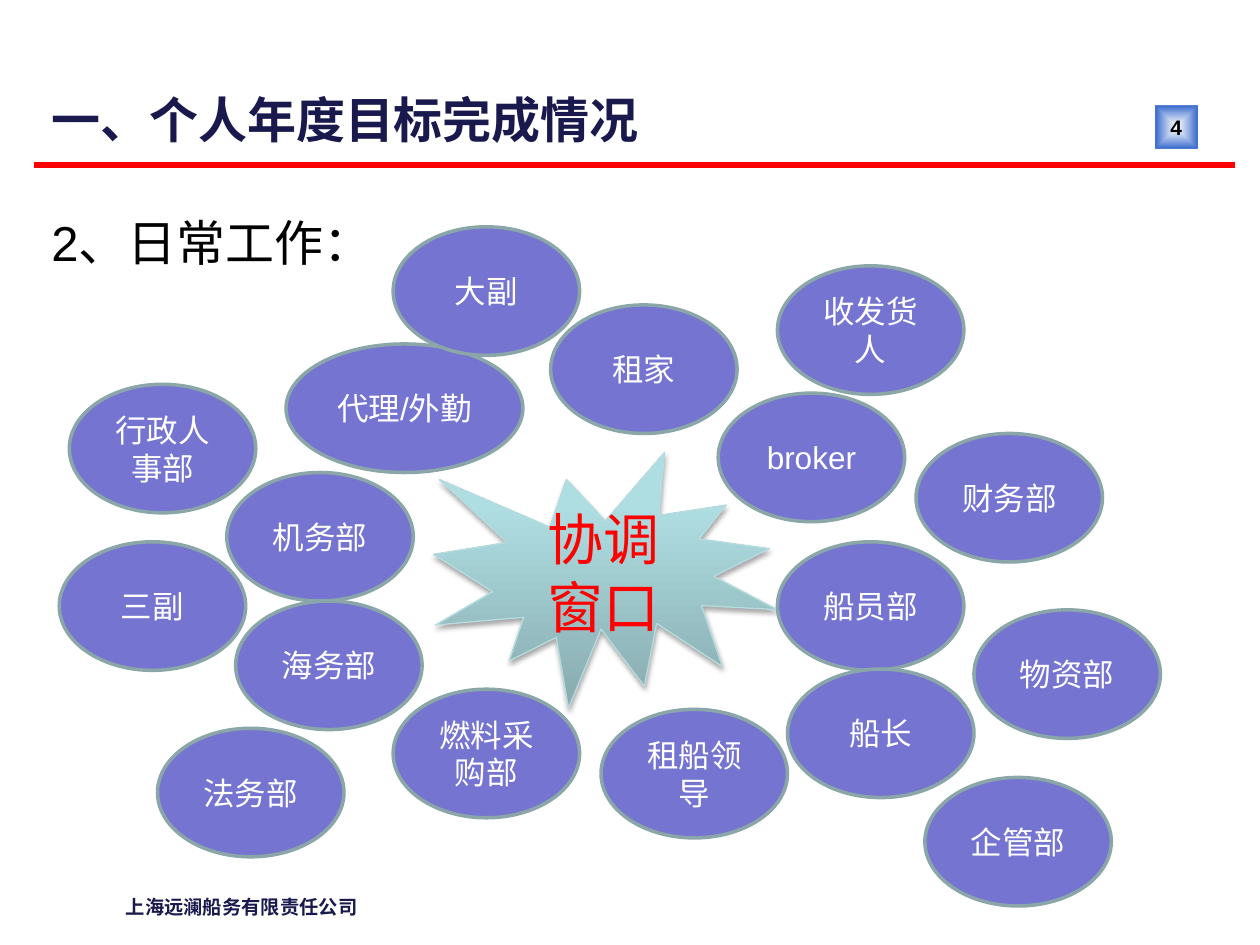
from dataclasses import dataclass

from lxml import etree
from pptx import Presentation
from pptx.dml.color import RGBColor
from pptx.enum import shapes, text
from pptx.oxml import parse_xml
from pptx.oxml.ns import nsdecls, qn
from pptx.util import Inches, Pt


@dataclass(frozen=True)
class Theme:
    """Colours, fonts and type sizes of the slide."""
    navy: str = "19194D"
    black: str = "000000"
    white: str = "FFFFFF"
    red: str = "FF0000"
    oval: str = "7575D1"
    oval_edge: str = "8AA6A8"
    burst_edge: str = "B6DCDF"
    burst_stops: tuple = ((0, "87ABAE", 100), (80, "AFDEE2", 100), (100, "AFE0E4", 100))
    badge_stops: tuple = ((0, "FFFFFF", 79), (100, "3366CC", 100))
    latin: str = "Arial"
    chinese: str = "Noto Sans CJK SC"
    heading: int = 28
    hub: int = 32
    label: int = 18
    number: int = 12
    footer: int = 11


THEME = Theme()

OVAL_SIZE = (1.48, 1.02)
WIDE_OVAL_SIZE = (1.88, 1.02)
PARTNERS = [
    ("船员部", 5.70, 2.50), ("租家", 3.90, 0.62), ("代理/外勤", 1.80, 0.93),
    ("机务部", 1.33, 1.95), ("海务部", 1.40, 2.97), ("企管部", 6.87, 4.37),
    ("行政人事部", 0.08, 1.25), ("法务部", 0.78, 3.98), ("租船领导", 4.30, 3.83),
    ("broker", 5.23, 1.32), ("收发货人", 5.70, 0.31), ("燃料采购部", 2.65, 3.67),
    ("物资部", 7.26, 3.04), ("财务部", 6.80, 1.64), ("船长", 5.78, 3.51),
    ("三副", 0, 2.50), ("大副", 2.65, 0),
]


def rgb(value):
    """Return a colour from its hex value."""
    return RGBColor.from_string(value)


def write(shape, words, size, color, font=THEME.latin, bold=False, centred=False, middle=True):
    """Set and format the text of a shape."""
    frame = shape.text_frame
    frame.text = words
    frame.word_wrap = True
    frame.vertical_anchor = text.MSO_ANCHOR.MIDDLE if middle else text.MSO_ANCHOR.TOP
    paragraph = frame.paragraphs[0]
    paragraph.alignment = text.PP_ALIGN.CENTER if centred else text.PP_ALIGN.LEFT
    for run in paragraph.runs:
        run.font.size, run.font.bold, run.font.name = Pt(size), bold, font
        run.font.color.rgb = rgb(color)
        east_asian = etree.SubElement(run.font._element, qn("a:ea"))
        east_asian.set("typeface", THEME.chinese)


def add_words(slide, box, words, size, color, **style):
    """Place a text box in the given box."""
    write(slide.shapes.add_textbox(*map(Inches, box)), words, size, color, **style)


def add_figure(slide, preset, box, edge=None, width=0):
    """Place a preset shape without shadow, with an optional edge."""
    figure = slide.shapes.add_shape(preset, *map(Inches, box))
    figure.shadow.inherit = False
    if edge:
        figure.line.color.rgb = rgb(edge)
        figure.line.width = Pt(width)
    else:
        figure.line.fill.background()
    return figure


def fill_gradient(figure, stops, direction):
    """Fill a figure with gradient stops of position, colour and opacity."""
    marks = "".join(
        f'<a:gs pos="{position * 1000}"><a:srgbClr val="{color}">'
        f'<a:alpha val="{opacity * 1000}"/></a:srgbClr></a:gs>'
        for position, color, opacity in stops)
    gradient = parse_xml(
        f'<a:gradFill {nsdecls("a")} rotWithShape="1"><a:gsLst>{marks}</a:gsLst>{direction}</a:gradFill>')
    figure._element.spPr.find(qn("a:prstGeom")).addnext(gradient)


def add_soft_shadow(figure):
    """Give a figure a soft shadow that falls straight down."""
    effects = figure._element.spPr.find(qn("a:effectLst"))
    effects.append(parse_xml(
        f'<a:outerShdw {nsdecls("a")} blurRad="{Pt(3.1)}" dist="{Pt(1.8)}" dir="5400000" rotWithShape="0">'
        f'<a:srgbClr val="{THEME.black}"><a:alpha val="35000"/></a:srgbClr></a:outerShdw>'))


def add_header(slide, left, top, width, height):
    """Place the title, the page badge and the red rule under them."""
    add_words(slide, (left + 0.04, top, width - 0.08, height), "一、个人年度目标完成情况",
              THEME.heading, THEME.navy, font=THEME.chinese, bold=True)
    badge = add_figure(slide, shapes.MSO_SHAPE.RECTANGLE, (left + width - 0.63, top + 0.29, 0.33, 0.34))
    fill_gradient(badge, THEME.badge_stops,
                  '<a:path path="rect"><a:fillToRect l="50000" t="50000" r="50000" b="50000"/></a:path>')
    write(badge, "4", THEME.number, THEME.black, bold=True, centred=True)
    badge.text_frame.word_wrap = False
    rule_top = Inches(top + height - 0.02)
    rule = slide.shapes.add_connector(shapes.MSO_CONNECTOR.STRAIGHT, Inches(left), rule_top,
                                      Inches(left + width), rule_top)
    rule.line.color.rgb = rgb(THEME.red)
    rule.line.width = Pt(3)
    etree.SubElement(rule._element.spPr, qn("a:effectLst"))


def add_hub(slide, left, top, width, height):
    """Place the burst that names the coordinating role."""
    burst = add_figure(slide, shapes.MSO_SHAPE.EXPLOSION1, (left, top, width, height),
                       THEME.burst_edge, 0.75)
    fill_gradient(burst, THEME.burst_stops, '<a:lin ang="16200000" scaled="0"/>')
    add_soft_shadow(burst)
    write(burst, "协调窗口", THEME.hub, THEME.red, centred=True)


def add_partners(slide, left, top):
    """Place the ovals of all partners around the hub."""
    for name, across, down in PARTNERS:
        size = WIDE_OVAL_SIZE if "/" in name else OVAL_SIZE
        oval = add_figure(slide, shapes.MSO_SHAPE.FLOWCHART_CONNECTOR,
                          (left + across, top + down, *size), THEME.oval_edge, 2)
        oval.fill.solid()
        oval.fill.fore_color.rgb = rgb(THEME.oval)
        write(oval, name, THEME.label, THEME.white, centred=True)


def main():
    """Build and save the slide."""
    deck = Presentation()
    deck.slide_width, deck.slide_height = Inches(10), Inches(7.5)
    slide = deck.slides.add_slide(deck.slide_layouts[6])
    add_words(slide, (0.9, 7.06, 3.78, 0.28), "上海远澜船务有限责任公司", THEME.footer,
              THEME.navy, font=THEME.chinese, bold=True, middle=False)
    add_header(slide, 0.27, 0.55, 9.53, 0.78)
    add_words(slide, (0.31, 1.64, 8.67, 0.57), "2、日常工作：", THEME.heading, THEME.black, middle=False)
    add_hub(slide, 3.44, 3.59, 2.73, 2.03)
    add_partners(slide, 0.47, 1.8)
    deck.save("out.pptx")


if __name__ == "__main__":
    main()
